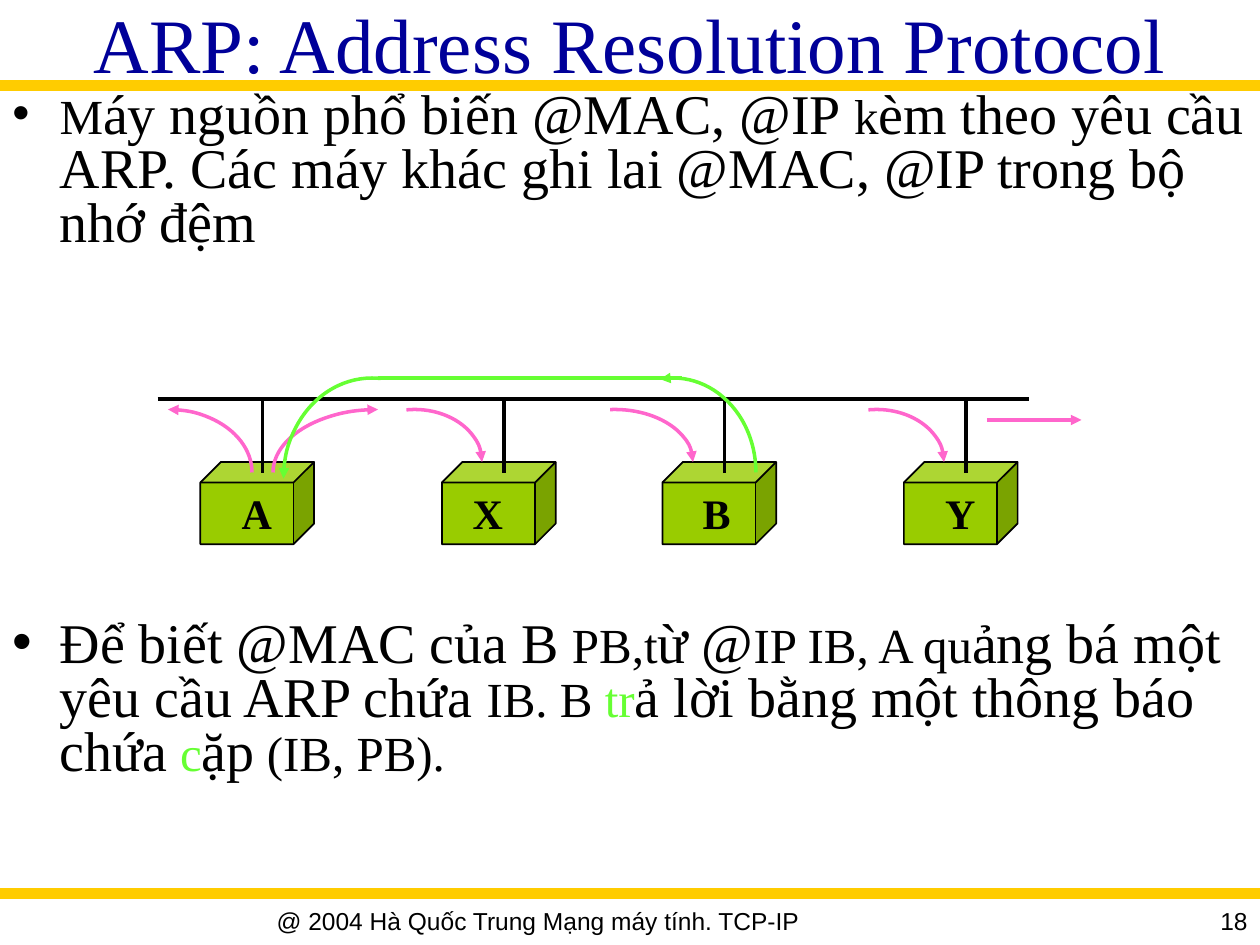
import pptx
import pptx.dml.color
import pptx.enum.shapes
import pptx.enum.text
import pptx.oxml.ns
import pptx.util
from lxml import etree

Pt = pptx.util.Pt
RGBColor = pptx.dml.color.RGBColor
SHAPE = pptx.enum.shapes.MSO_SHAPE
ALIGN = pptx.enum.text.PP_ALIGN
STRAIGHT = pptx.enum.shapes.MSO_CONNECTOR.STRAIGHT
qn = pptx.oxml.ns.qn

BLACK = RGBColor(0x00, 0x00, 0x00)
NAVY = RGBColor(0x00, 0x00, 0x99)
GOLD = RGBColor(0xFF, 0xCC, 0x00)
OLIVE = RGBColor(0x99, 0xCC, 0x00)
PINK = RGBColor(0xFF, 0x66, 0xCC)
GREEN = RGBColor(0x66, 0xFF, 0x33)
SERIF, SANS = "Times New Roman", "Arial"


def add_text(para, text, size=28, color=BLACK, font=SERIF, bold=False):
    span = para.add_run()
    span.text = text
    span.font.size = Pt(size)
    span.font.name = font
    span.font.bold = bold
    span.font.color.rgb = color


def style_line(shape, color, width=2, arrow=None):
    """Format a line; arrow is "headEnd" (at its start) or "tailEnd"."""
    shape.line.color.rgb = color
    shape.line.width = Pt(width)
    properties = shape._element.spPr
    if arrow:
        etree.SubElement(properties.find(qn("a:ln")), qn(f"a:{arrow}"), type="triangle")
    etree.SubElement(properties, qn("a:effectLst"))


deck = pptx.Presentation()
deck.slide_width, deck.slide_height = Pt(720), Pt(540)
page = deck.slides.add_slide(deck.slide_layouts[5])
shapes = page.shapes

# Gold rules under the title and above the footer
for y in (49, 510.5):
    style_line(shapes.add_connector(STRAIGHT, Pt(0), Pt(y), Pt(720), Pt(y)), GOLD, 6)

# Title
title = shapes.title
title.left, title.top, title.width, title.height = Pt(0), Pt(0), Pt(720), Pt(49)
title.text_frame.auto_size = pptx.enum.text.MSO_AUTO_SIZE.NONE
title.text_frame.vertical_anchor = pptx.enum.text.MSO_ANCHOR.MIDDLE
para = title.text_frame.paragraphs[0]
para.alignment = ALIGN.CENTER
add_text(para, "ARP: Address Resolution Protocol", size=44, color=NAVY)

# Bullets above and below the diagram: (space before, runs)
bullets = [
    (0, [("M", 28, BLACK), ("áy nguồn phổ biến @MAC, @IP", 32, BLACK), (" k", 28, BLACK),
         ("èm theo yêu cầu ARP. Các máy khác ghi lai @MAC, @IP trong bộ nhớ đệm", 32, BLACK)]),
    (210, [("Để biết @MAC của B", 32, BLACK), (" PB,t", 28, BLACK), ("ừ @", 32, BLACK),
           ("IP IB, A qu", 28, BLACK), ("ảng bá một yêu cầu ARP chứa ", 32, BLACK),
           ("IB. B ", 28, BLACK), ("tr", 28, GREEN),
           ("ả lời bằng một thông báo chứa", 32, BLACK), (" c", 28, GREEN),
           ("ặp", 32, BLACK), (" (IB, PB).", 28, BLACK)]),
]
body = shapes.add_textbox(Pt(0), Pt(49), Pt(720), Pt(425)).text_frame
body.word_wrap = True
for index, (space, spans) in enumerate(bullets):
    para = body.add_paragraph() if index else body.paragraphs[0]
    para.line_spacing = 0.8
    para.space_before = Pt(space)
    settings = para._p.get_or_add_pPr()
    settings.set("marL", str(Pt(27)))
    settings.set("indent", str(-Pt(27)))
    etree.SubElement(settings, qn("a:buFont"), typeface=SANS)
    etree.SubElement(settings, qn("a:buChar"), char="•")
    for text, size, color in spans:
        add_text(para, text, size=size, color=color)

# Network cable
style_line(shapes.add_connector(STRAIGHT, Pt(90), Pt(228), Pt(588), Pt(228)), BLACK)

# Hosts, each hanging on the cable: (name, drop x, label left)
for name, x, label_left in [("A", 150, 131), ("X", 288, 263), ("B", 414, 394.5), ("Y", 552, 533)]:
    host = shapes.add_shape(SHAPE.CUBE, Pt(x - 35.5), Pt(264), Pt(65), Pt(47))
    host.fill.solid()
    host.fill.fore_color.rgb = OLIVE
    style_line(host, BLACK, 1)
    style_line(shapes.add_connector(STRAIGHT, Pt(x), Pt(228), Pt(x), Pt(270)), BLACK)
    label = shapes.add_textbox(Pt(label_left), Pt(275), Pt(31.7), Pt(36)).text_frame
    label.word_wrap = False
    add_text(label.paragraphs[0], name, size=24, bold=True)

# Request (pink) and reply (green) arcs: ellipse box, start and end angle
arcs = [
    (48, 234, 96, 72, 270, 0, PINK, "headEnd"),
    (156, 234, 120, 72, 180, 270, PINK, "tailEnd"),
    (198.5, 234, 77, 60, 261, 0, PINK, "tailEnd"),
    (306.5, 234, 89.5, 60, 265, 0, PINK, "tailEnd"),
    (462.5, 234, 77, 60, 261, 0, PINK, "tailEnd"),
    (337.5, 216, 94.5, 108, 262, 0, GREEN, "headEnd"),
    (162, 216, 101, 115, 180, 275, GREEN, "headEnd"),
]
for left, top, width, height, start, end, color, arrow in arcs:
    arc = shapes.add_shape(SHAPE.ARC, Pt(left), Pt(top), Pt(width), Pt(height))
    # Angles are stored in 1/60000 degree, adjustments in 1/100000
    arc.adjustments[0], arc.adjustments[1] = start * 0.6, end * 0.6
    arc.fill.background()
    style_line(arc, color, arrow=arrow)

# Straight parts of the request and the reply
style_line(shapes.add_connector(STRAIGHT, Pt(564), Pt(240), Pt(618), Pt(240)), PINK, arrow="tailEnd")
style_line(shapes.add_connector(STRAIGHT, Pt(390), Pt(216), Pt(216), Pt(216)), GREEN)

# Footer and page number
for text, left, width, align in [
    ("@ 2004 Hà Quốc Trung Mạng máy tính. TCP-IP", 0, 615, ALIGN.CENTER),
    ("18", 618, 102, ALIGN.RIGHT),
]:
    footer = shapes.add_textbox(Pt(left), Pt(514), Pt(width), Pt(24)).text_frame
    footer.word_wrap = True
    footer.paragraphs[0].alignment = align
    add_text(footer.paragraphs[0], text, size=14, font=SANS)

deck.save("out.pptx")
